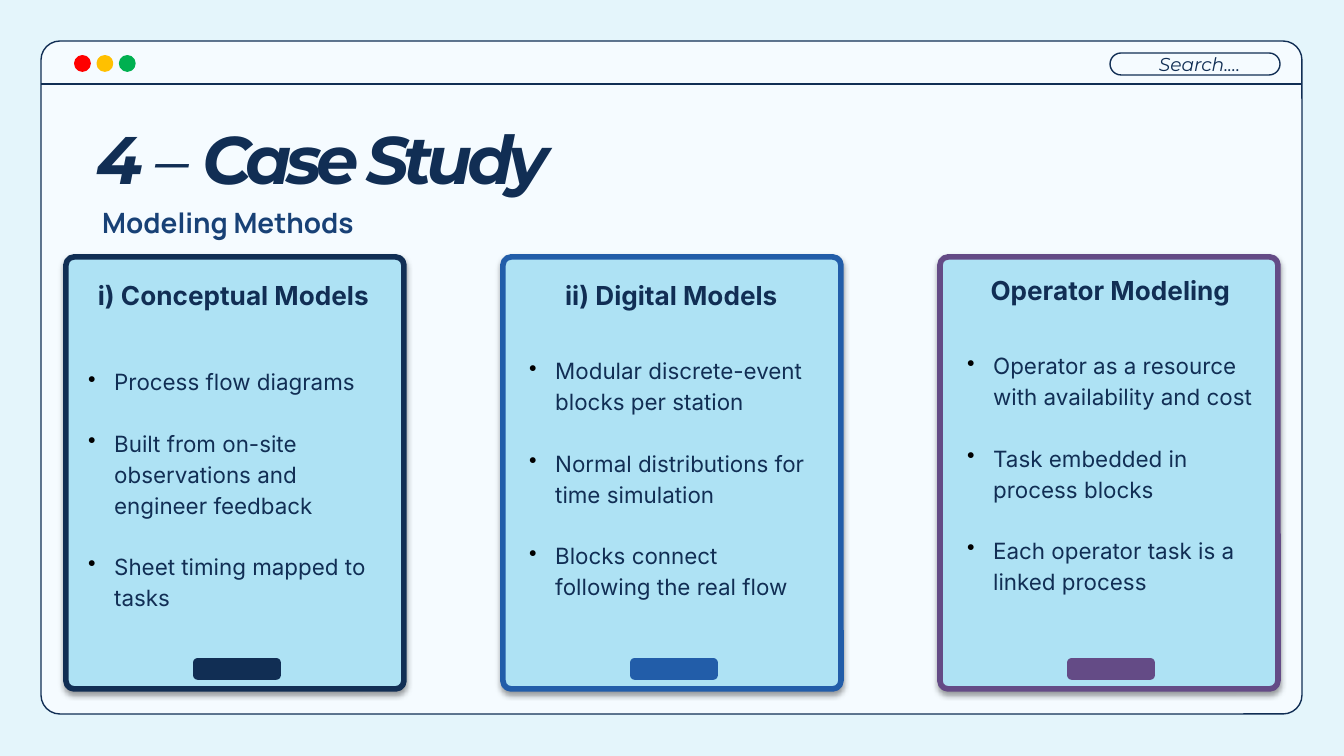
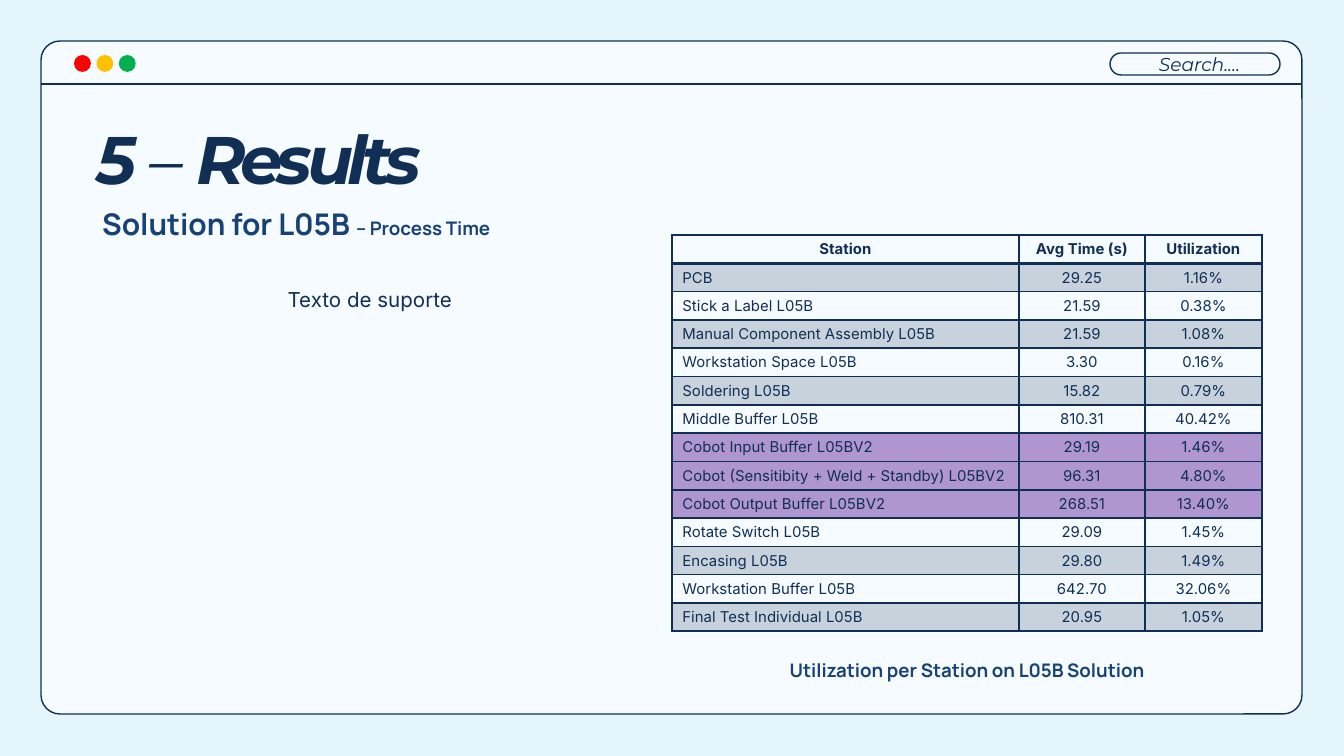
from lxml import etree
from pptx import Presentation
from pptx import util as u
from pptx.dml.color import RGBColor
from pptx.enum import shapes, text
from pptx.oxml import ns

PX = u.Inches(1) / 134.4
NAVY, BLUE, PURPLE, SUBTITLE = "112E54", "225DA9", "644B86", "184176"
SKY, PAPER, BACKDROP, LILAC = "AEE2F4", "F5FBFF", "E4F5FB", "AF96D0"
HEAD_FONT, SUB_FONT, BODY_FONT = "Montserrat", "Manrope", "Inter"
CENTER, LEFT = text.PP_ALIGN.CENTER, text.PP_ALIGN.LEFT
TOP, BOTTOM = text.MSO_ANCHOR.TOP, text.MSO_ANCHOR.BOTTOM
OVAL, ROUNDED = shapes.MSO_SHAPE.OVAL, shapes.MSO_SHAPE.ROUNDED_RECTANGLE

# Heading, accent, heading box (left, top), list box (left, top), list items
PANELS = [
    ("i) Conceptual Models", NAVY, (77, 268), (75, 351),
     ["Process flow diagrams",
      "Built from on-site observations and engineer feedback",
      "Sheet timing mapped to tasks"]),
    ("ii) Digital Models", BLUE, (515, 268), (516, 340),
     ["Modular discrete-event blocks per station",
      "Normal distributions for time simulation",
      "Blocks connect following the real flow"]),
    ("Operator Modeling", PURPLE, (954, 263), (954, 335),
     ["Operator as a resource with availability and cost",
      "Task embedded in process blocks",
      "Each operator task is a linked process"]),
]

STATIONS = [
    ("Station", "Avg Time (s)", "Utilization"),
    ("PCB", "29.25", "1.16%"),
    ("Stick a Label L05B", "21.59", "0.38%"),
    ("Manual Component Assembly L05B", "21.59", "1.08%"),
    ("Workstation Space L05B", "3.30", "0.16%"),
    ("Soldering L05B", "15.82", "0.79%"),
    ("Middle Buffer L05B", "810.31", "40.42%"),
    ("Cobot Input Buffer L05BV2", "29.19", "1.46%"),
    ("Cobot (Sensitibity + Weld + Standby) L05BV2", "96.31", "4.80%"),
    ("Cobot Output Buffer L05BV2", "268.51", "13.40%"),
    ("Rotate Switch L05B", "29.09", "1.45%"),
    ("Encasing L05B", "29.80", "1.49%"),
    ("Workstation Buffer L05B", "642.70", "32.06%"),
    ("Final Test Individual L05B", "20.95", "1.05%"),
]


def px(length):
    return u.Emu(round(length * PX))


def color(value):
    return RGBColor.from_string(value)


def add_element(parent, tag, **attributes):
    element = etree.SubElement(parent, ns.qn(tag))
    for name, value in attributes.items():
        element.set(name, str(value))
    return element


# Text
def add_run(paragraph, words, size, font, tone=NAVY, bold=False, italic=False, spacing=0):
    run = paragraph.add_run()
    run.text = words
    run.font.size, run.font.name = u.Pt(size), font
    run.font.bold, run.font.italic = bold, italic
    run.font.color.rgb = color(tone)
    if spacing:
        run.font._element.set("spc", str(spacing * 100))


def add_text_frame(slide, left, top, width, height, anchor=TOP):
    box = slide.shapes.add_textbox(px(left), px(top), px(width), px(height))
    frame = box.text_frame
    frame.word_wrap = True
    frame.vertical_anchor = anchor
    frame.margin_left = frame.margin_right = u.Inches(0.1)
    frame.margin_top = frame.margin_bottom = u.Inches(0.1)
    return frame


def add_label(slide, box, runs, align=LEFT, anchor=TOP, spacing=None):
    paragraph = add_text_frame(slide, *box, anchor).paragraphs[0]
    paragraph.alignment = align
    if spacing:
        paragraph.line_spacing = spacing
    for words, style in runs:
        add_run(paragraph, words, **style)


def add_bullets(slide, box, items):
    frame = add_text_frame(slide, *box)
    for index, item in enumerate(items):
        paragraph = frame.add_paragraph() if index else frame.paragraphs[0]
        properties = paragraph._p.get_or_add_pPr()
        properties.set("marL", str(px(26)))
        properties.set("indent", str(-px(26)))
        add_element(add_element(properties, "a:buClr"), "a:srgbClr", val="000000")
        add_element(properties, "a:buChar", char="•")
        paragraph.line_spacing = 1.15
        if index:
            paragraph.space_before = u.Pt(16.4)
        add_run(paragraph, item, 12, BODY_FONT)


# Shapes
def add_block(slide, kind, box, fill, line, weight, corner=None):
    shape = slide.shapes.add_shape(kind, *map(px, box))
    shape.shadow.inherit = False
    if fill:
        shape.fill.solid()
        shape.fill.fore_color.rgb = color(fill)
    else:
        shape.fill.background()
    shape.line.color.rgb = color(line)
    shape.line.width = u.Pt(weight)
    if corner is not None:
        shape.adjustments[0] = corner
    return shape


def add_soft_shadow(shape):
    effects = shape._element.spPr.find(ns.qn("a:effectLst"))
    shadow = add_element(effects, "a:outerShdw", blurRad=u.Pt(3.1), dist=u.Pt(1.6),
                         dir=90 * 60000, algn="t", rotWithShape=0)
    tone = add_element(shadow, "a:srgbClr", val="000000")
    add_element(tone, "a:alpha", val=38000)


def add_divider(slide, left, right, y):
    line = slide.shapes.add_connector(shapes.MSO_CONNECTOR.STRAIGHT,
                                      px(left), px(y), px(right), px(y))
    line.line.color.rgb = color(NAVY)
    line.line.width = u.Pt(0.75)
    add_element(line._element.spPr, "a:effectLst")


def add_panel(slide, index, heading, accent, heading_at, list_at, items):
    left = 66 + 437 * index
    card = add_block(slide, ROUNDED, (left, 257, 338, 432), SKY, accent, 3, 0.024)
    add_soft_shadow(card)
    add_block(slide, ROUNDED, (left + 129, 660, 84, 18), accent, accent, 2, 0.15)
    style = dict(size=14, font=BODY_FONT, bold=True)
    add_label(slide, (*heading_at, 313, 56), [(heading, style)], CENTER, BOTTOM, 1.15)
    add_bullets(slide, (*list_at, 313, 339), items)


# Table
def set_borders(cell, weights):
    properties = cell._tc.get_or_add_tcPr()
    for side, weight in weights.items():
        line = add_element(properties, f"a:ln{side}", w=u.Pt(weight))
        add_element(add_element(line, "a:solidFill"), "a:srgbClr", val=NAVY)


def fill_cell(cell, row):
    if 7 <= row <= 9:
        cell.fill.solid()
        cell.fill.fore_color.rgb = color(LILAC)
    elif row % 2:
        cell.fill.solid()
        cell.fill.fore_color.rgb = color(NAVY)
        tone = cell._tc.tcPr.find(".//" + ns.qn("a:srgbClr"))
        add_element(tone, "a:alpha", val=20000)
    else:
        cell.fill.background()


def add_station_table(slide, left, top, widths, row_height, rows):
    frame = slide.shapes.add_table(len(rows), len(widths), px(left), px(top),
                                   px(sum(widths)), px(row_height * len(rows)))
    table = frame.table
    table.first_row = table.horz_banding = False
    for column, width in zip(table.columns, widths):
        column.width = px(width)
    for r, values in enumerate(rows):
        table.rows[r].height = px(row_height)
        for c, value in enumerate(values):
            cell = table.cell(r, c)
            cell.margin_left = cell.margin_right = u.Pt(5.6)
            cell.margin_top = cell.margin_bottom = u.Pt(2.8)
            fill_cell(cell, r)
            # Borders come before the fill in a cell's properties
            properties = cell._tc.tcPr
            fill = properties[0]
            set_borders(cell, {"L": 1, "R": 1, "T": 2 if r == 1 else 1, "B": 1 if r else 2})
            properties.append(fill)
            paragraph = cell.text_frame.paragraphs[0]
            paragraph.alignment = CENTER if c or not r else LEFT
            add_run(paragraph, value, 8, BODY_FONT, bold=not r)


# Window frame, title and subtitle shared by the slides
def add_window_slide(presentation, number, title, subtitle_runs):
    slide = presentation.slides.add_slide(presentation.slide_layouts[6])
    slide.background.fill.solid()
    slide.background.fill.fore_color.rgb = color(BACKDROP)
    add_block(slide, ROUNDED, (41, 41, 1261, 673), PAPER, NAVY, 0.75, 0.028)
    add_block(slide, ROUNDED, (1110, 53, 170, 22), None, NAVY, 0.75, 0.5)
    add_divider(slide, 41, 1302, 84)
    for index, tone in enumerate(("FF0000", "FFC000", "00B050")):
        add_block(slide, OVAL, (76 + 22.4 * index, 57, 13, 13), tone, tone, 2)
    search = dict(size=10, font=HEAD_FONT, italic=True)
    add_label(slide, (1121, 61, 157, 26), [("Search.…", search)], CENTER, BOTTOM)

    light = dict(size=36, font=HEAD_FONT, italic=True, spacing=-3)
    heavy = dict(light, bold=True)
    runs = [(f"{number} ", heavy), ("–", light), (f" {title}", heavy)]
    add_label(slide, (83, 163, 1154, 48), runs, anchor=BOTTOM)
    runs = [(words, subtitle_style(size)) for words, size in subtitle_runs]
    add_label(slide, (89, 187, 613, 70), runs, spacing=1.15)
    return slide


def subtitle_style(size):
    return dict(size=size, font=SUB_FONT, tone=SUBTITLE, bold=True)


def main():
    presentation = Presentation()
    presentation.slide_width, presentation.slide_height = px(1344), px(756)

    # Case study: three panels
    slide = add_window_slide(presentation, 4, "Case Study", [("Modeling Methods", 15)])
    for index, panel in enumerate(PANELS):
        add_panel(slide, index, *panel)

    # Results: supporting text and station table
    slide = add_window_slide(presentation, 5, "Results",
                             [("Solution for L05B ", 16), ("– Process Time", 10)])
    add_station_table(slide, 672, 235, (347, 126, 117), 28, STATIONS)
    add_label(slide, (184, 275, 372, 403),
              [("Texto de suporte", dict(size=11, font=BODY_FONT))], CENTER)
    add_label(slide, (672, 643, 590, 70),
              [("Utilization per Station on L05B Solution", subtitle_style(10))],
              CENTER, spacing=1.15)

    presentation.save("out.pptx")


if __name__ == "__main__":
    main()
